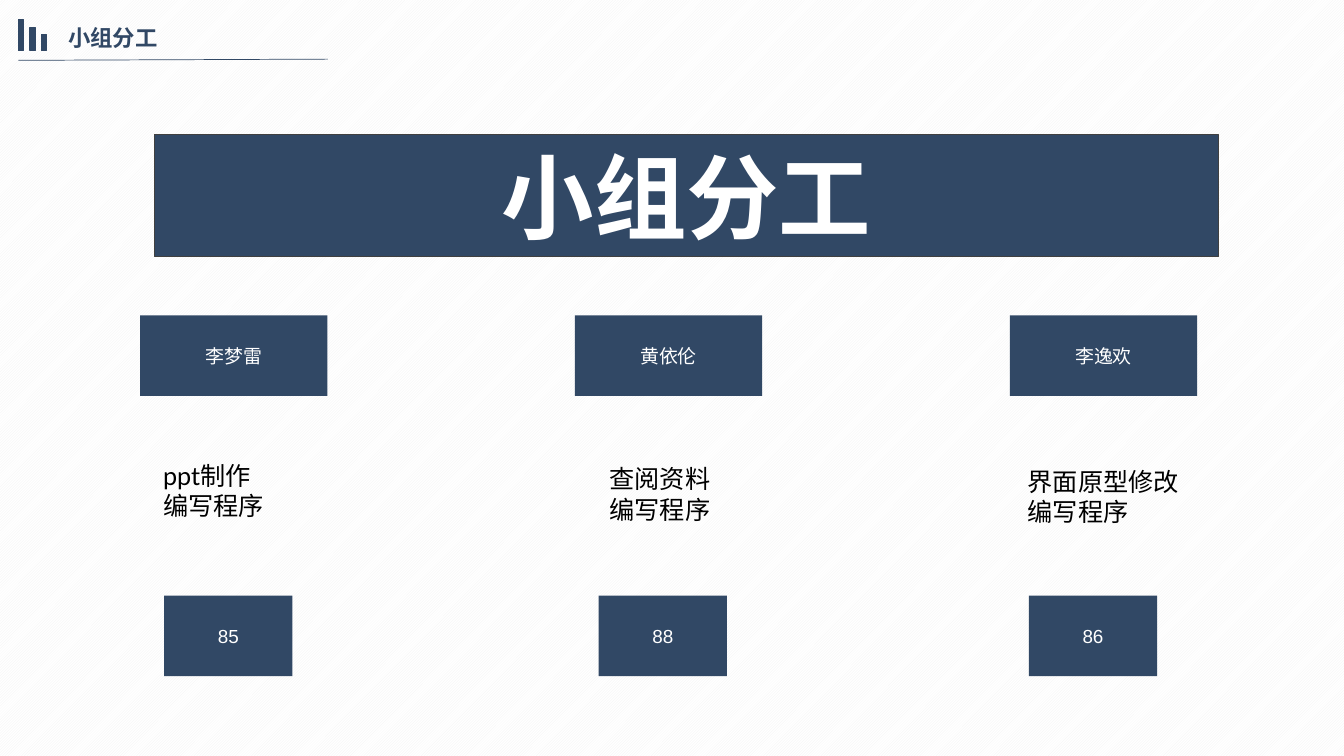
from dataclasses import dataclass
from lxml import etree
from pptx import Presentation
from pptx.dml import color
from pptx.enum import dml, shapes, text
from pptx.oxml import ns
from pptx.util import Cm, Pt

TOPIC = "小组分工"
TEAM = [
    {"name": "李梦雷", "tasks": ["ppt制作", "编写程序"], "score": "85",
     "task_box": (3.86, 11.48, 6.99), "score_x": 4.14},
    {"name": "黄依伦", "tasks": ["查阅资料", "编写程序"], "score": "88",
     "task_box": (15.11, 11.56, 3.96), "score_x": 15.09},
    {"name": "李逸欢", "tasks": ["界面原型修改", "编写程序"], "score": "86",
     "task_box": (25.65, 11.63, 4.98), "score_x": 25.93},
]
BARS = [(0.46, 0.79), (0.76, 0.58), (1.04, 0.41)]


@dataclass(frozen=True)
class Theme:
    navy: str = "314865"
    edge: str = "404040"
    white: str = "FFFFFF"
    black: str = "000000"
    stripe: str = "F2F2F2"
    sans: str = "Arial"
    body: str = "Lato"
    banner: float = 66
    head: float = 16
    task: float = 18
    label: float = 13.5


THEME = Theme()


def rgb(code):
    return color.RGBColor.from_string(code)


def write(shape, lines, size, tint, font=THEME.sans, bold=False, align=None):
    frame = shape.text_frame
    frame.text = "\n".join(lines)
    frame.word_wrap = True
    frame.auto_size = text.MSO_AUTO_SIZE.NONE
    for para in frame.paragraphs:
        para.alignment = align
        for run in para.runs:
            run.font.size = Pt(size)
            run.font.bold = bold
            run.font.name = font
            run.font.color.rgb = rgb(tint)
            east = etree.SubElement(run.font._element, ns.qn("a:ea"))
            east.set("typeface", font)


def paint(shape, edge=None, width=1):
    shape.fill.solid()
    shape.fill.fore_color.rgb = rgb(THEME.navy)
    if edge:
        shape.line.color.rgb = rgb(edge)
        shape.line.width = Pt(width)
    else:
        shape.line.fill.background()


def block(slide, x, y, w, h, edge=None):
    shape = slide.shapes.add_shape(
        shapes.MSO_SHAPE.RECTANGLE, Cm(x), Cm(y), Cm(w), Cm(h))
    shape.shadow.inherit = False
    paint(shape, edge)
    return shape


def label(slide, words, x, y, w):
    shape = block(slide, x, y, w, 2.03)
    write(shape, [words], THEME.label, THEME.white, align=text.PP_ALIGN.CENTER)
    shape.text_frame.vertical_anchor = text.MSO_ANCHOR.MIDDLE


def header(slide):
    rule = slide.shapes.add_connector(
        shapes.MSO_CONNECTOR.STRAIGHT, Cm(0.46), Cm(1.52), Cm(8.26), Cm(1.49))
    rule.line.color.rgb = rgb(THEME.navy)
    rule.line.width = Pt(0.5)
    etree.SubElement(rule._element.spPr, ns.qn("a:effectLst"))
    box = slide.shapes.add_textbox(Cm(1.47), Cm(0.48), Cm(6.76), Cm(0.94))
    write(box, [TOPIC], THEME.head, THEME.navy, bold=True,
          align=text.PP_ALIGN.JUSTIFY)
    for x, h in BARS:
        block(slide, x, 1.28 - h, 0.13, h, THEME.navy)


def banner(slide):
    title = slide.shapes.title
    title.left, title.top = Cm(3.89), Cm(3.4)
    title.width, title.height = Cm(26.82), Cm(3.07)
    paint(title, THEME.edge, 0.75)
    write(title, [TOPIC], THEME.banner, THEME.white, bold=True,
          align=text.PP_ALIGN.CENTER)
    title.text_frame.vertical_anchor = text.MSO_ANCHOR.MIDDLE


def team(slide):
    for i, mate in enumerate(TEAM):
        label(slide, mate["name"], 3.53 + 10.96 * i, 7.95, 4.72)
        x, y, w = mate["task_box"]
        box = slide.shapes.add_textbox(Cm(x), Cm(y), Cm(w), Cm(1.8))
        write(box, mate["tasks"], THEME.task, THEME.black, THEME.body)
        label(slide, mate["score"], mate["score_x"], 15.01, 3.23)


def main():
    deck = Presentation()
    deck.slide_width, deck.slide_height = Cm(33.87), Cm(19.05)
    slide = deck.slides.add_slide(deck.slide_layouts[5])
    back = slide.background.fill
    back.patterned()
    back.pattern = dml.MSO_PATTERN.DARK_UPWARD_DIAGONAL
    back.fore_color.rgb = rgb(THEME.stripe)
    back.back_color.rgb = rgb(THEME.white)
    header(slide)
    banner(slide)
    team(slide)
    deck.save("out.pptx")


if __name__ == "__main__":
    main()
